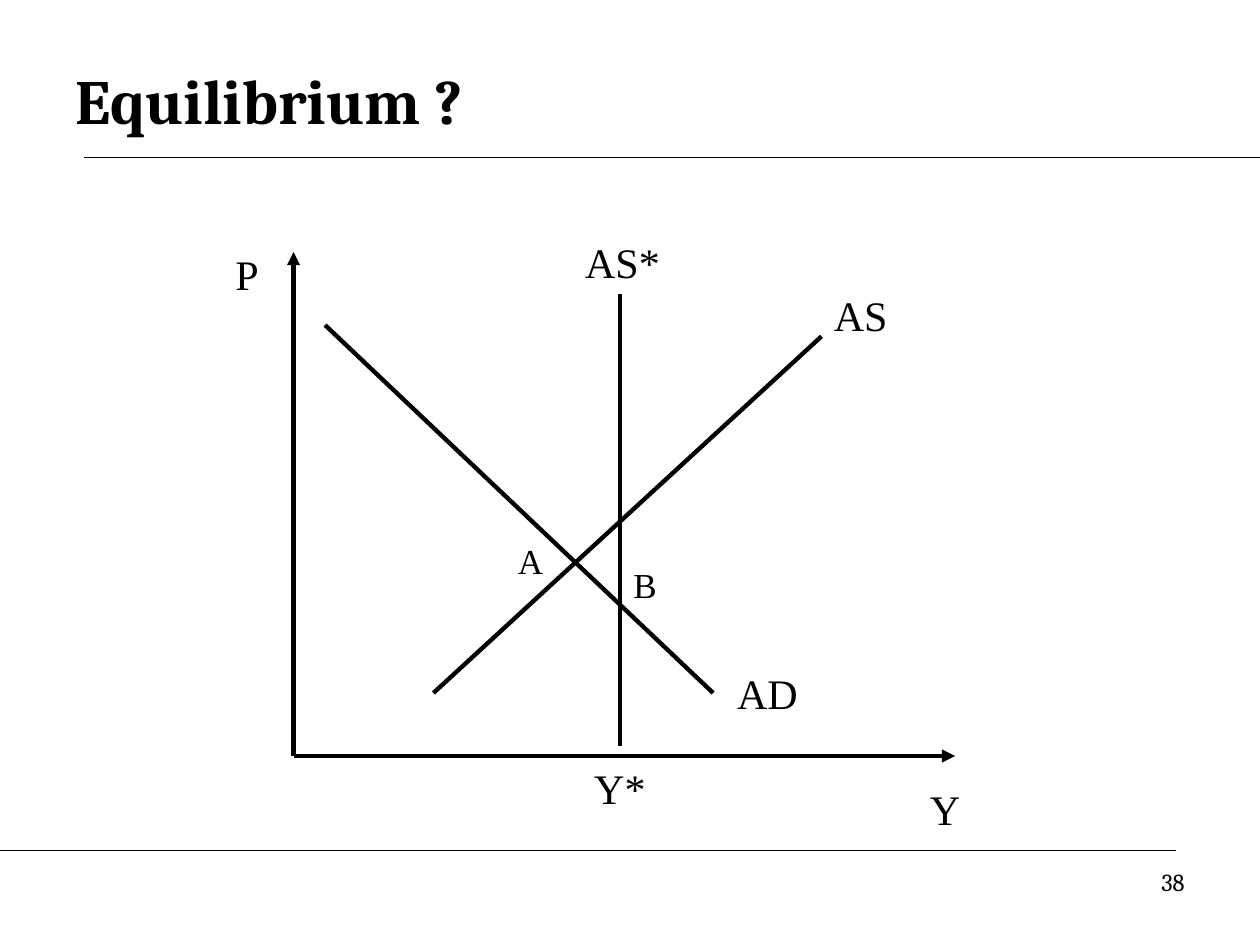
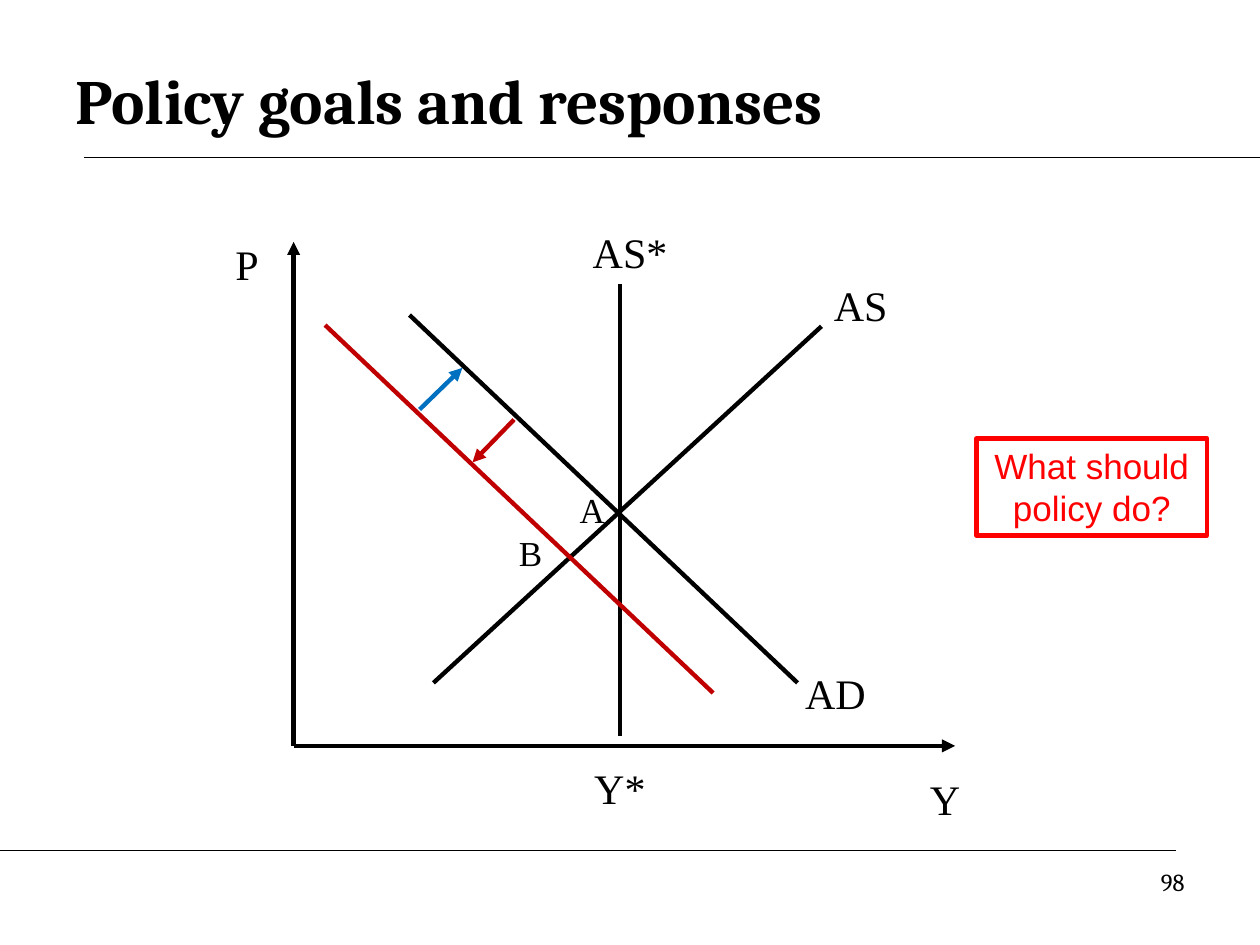
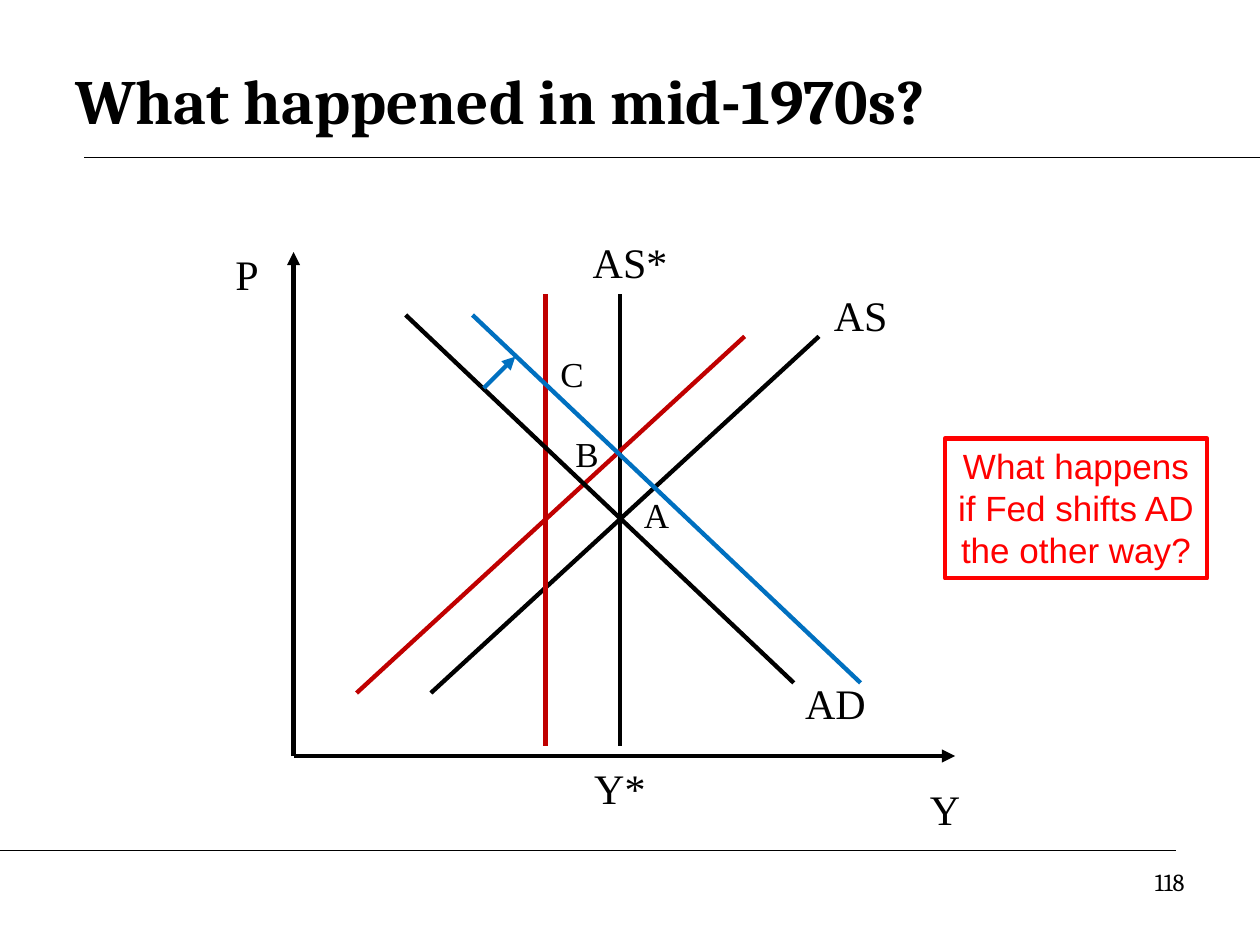
"""Builds three aggregate demand and supply slides."""
from lxml import etree
from pptx import Presentation
from pptx import util as u
from pptx.dml.color import RGBColor
from pptx.enum import shapes, text
from pptx.oxml.ns import qn

COLORS = {"ink": "000000", "shock": "C00000", "policy": "0070C0", "callout": "FF0000"}
HEAD, DIAGRAM, BODY = "Cambria", "Times New Roman", "Arial"
RUN, SUPPLY_RISE, DEMAND_FALL = 3.08, 2.83, 2.92
ORIGIN_X, AXIS_Y, POTENTIAL_X = 2.33, 6, 4.92


def rgb(name):
    """Look up a named colour."""
    return RGBColor.from_string(COLORS[name])


def write(sp, content, *, size, font, color="ink", bold=False,
          align=text.PP_ALIGN.LEFT, anchor=text.MSO_ANCHOR.TOP):
    """Fill a shape with one formatted paragraph."""
    tf = sp.text_frame
    tf.word_wrap = True
    tf.vertical_anchor = anchor
    p = tf.paragraphs[0]
    p.alignment = align
    r = p.add_run()
    r.text = content
    r.font.size, r.font.name, r.font.bold = u.Pt(size), font, bold
    r.font.color.rgb = rgb(color)


def add_text(s, content, box, **fmt):
    """Add a text box at left, top, width, height."""
    write(s.shapes.add_textbox(*map(u.Inches, box)), content, **fmt)


def add_label(s, content, center, top, size=24, width=0.92):
    """Add a diagram label centred on a given x."""
    height = 0.5 if size == 24 else 0.43
    add_text(s, content, (center - width / 2, top, width, height),
             size=size, font=DIAGRAM, align=text.PP_ALIGN.CENTER)


def add_point(s, content, center, top):
    """Add the small letter beside a crossing point."""
    add_label(s, content, center, top, size=20, width=0.58)


def add_line(s, start, end, color="ink", width=2.5, arrow=False):
    """Add a straight line, with an arrowhead at its end if asked."""
    sp = s.shapes.add_connector(shapes.MSO_CONNECTOR.STRAIGHT,
                                *map(u.Inches, (*start, *end)))
    sp.line.color.rgb = rgb(color)
    sp.line.width = u.Pt(width)
    if arrow:
        etree.SubElement(sp.line._get_or_add_ln(), qn("a:tailEnd"), type="triangle")
    etree.SubElement(sp._element.spPr, qn("a:effectLst"))


def add_supply(s, x, bottom=5.5, color="ink"):
    """Add a rising supply curve from its lower left end."""
    add_line(s, (x, bottom), (x + RUN, bottom - SUPPLY_RISE), color)


def add_demand(s, x, top=2.5, color="ink"):
    """Add a falling demand curve from its upper left end."""
    add_line(s, (x, top), (x + RUN, top + DEMAND_FALL), color)


def add_potential(s, x, dy=0, color="ink"):
    """Add a vertical long-run supply curve."""
    add_line(s, (x, 5.92 + dy), (x, 2.33 + dy), color)


def add_diagram(s, dy=0, supply_x=3.44, potential_label_x=5):
    """Add axes, both supply curves and their labels, shifted down by dy."""
    origin = (ORIGIN_X, AXIS_Y + dy)
    add_line(s, origin, (7.58, AXIS_Y + dy), arrow=True)
    add_line(s, origin, (ORIGIN_X, 2 + dy), arrow=True)
    add_potential(s, POTENTIAL_X, dy)
    add_supply(s, supply_x, 5.5 + dy)
    for content, center, top in (("Y", 7.5, 6.17), ("P", 1.96, 1.92), ("AS", 6.83, 2.25),
                                 ("AS*", potential_label_x, 1.83)):
        add_label(s, content, center, top + dy)
    add_label(s, "Y*", POTENTIAL_X, 6)


def add_callout(s, content, left, width, height):
    """Add a red-framed question beside the diagram."""
    sp = s.shapes.add_shape(shapes.MSO_SHAPE.RECTANGLE,
                            *map(u.Inches, (left, 3.48, width, height)))
    sp.shadow.inherit = False
    sp.fill.background()
    sp.line.color.rgb = rgb("callout")
    sp.line.width = u.Pt(2.5)
    write(sp, content, size=20, font=BODY, color="callout", align=text.PP_ALIGN.CENTER)


def add_slide(prs, title, number):
    """Add a slide with its rules, title and page number."""
    s = prs.slides.add_slide(prs.slide_layouts[6])
    add_line(s, (0.67, 1.25), (10, 1.25), width=0.75)
    add_line(s, (0, 6.75), (9.33, 6.75), width=0.75)
    add_text(s, title, (0.5, 0.33, 9, 0.92), size=36, font=HEAD, bold=True,
             anchor=text.MSO_ANCHOR.MIDDLE)
    add_text(s, str(number), (7.17, 6.83, 2.33, 0.52), size=14, font=HEAD,
             align=text.PP_ALIGN.RIGHT)
    return s


def equilibrium(prs):
    """Build the slide that asks where equilibrium lies."""
    s = add_slide(prs, "Equilibrium ?", 38)
    add_diagram(s, potential_label_x=4.94)
    add_demand(s, 2.58, 2.58)
    add_label(s, "AD", 6.09, 5.25)
    add_point(s, "A", 4.21, 4.23)
    add_point(s, "B", 5.12, 4.42)


def policy_responses(prs):
    """Build the slide on a demand shock and the policy response."""
    s = add_slide(prs, "Policy goals and responses", 98)
    add_diagram(s, dy=-0.08)
    add_demand(s, 3.25)
    add_label(s, "AD", 6.63, 5.25)
    add_point(s, "A", 4.7, 3.83)
    add_callout(s, "What should policy do?", 7.75, 1.83, 0.77)
    add_demand(s, 2.58, 2.58, "shock")
    add_line(s, (4.08, 3.33), (3.75, 3.67), "shock", arrow=True)
    add_point(s, "B", 4.21, 4.17)
    add_line(s, (3.33, 3.25), (3.67, 2.92), "policy", arrow=True)


def supply_shock(prs):
    """Build the slide on the supply shock of the mid-1970s."""
    s = add_slide(prs, "What happened in mid-1970s?", 118)
    add_diagram(s, supply_x=3.42)
    add_potential(s, 4.33, color="shock")
    add_supply(s, 2.83, color="shock")
    add_demand(s, 3.22)
    add_label(s, "AD", 6.63, 5.33)
    for content, center, top in (("A", 5.21, 3.87), ("B", 4.66, 3.38), ("C", 4.54, 2.75)):
        add_point(s, content, center, top)
    add_callout(s, "What happens if Fed shifts AD the other way?", 7.5, 2.08, 1.11)
    add_line(s, (3.84, 3.08), (4.09, 2.83), "policy", arrow=True)
    add_demand(s, 3.75, color="policy")


def main():
    """Build and save the presentation."""
    prs = Presentation()
    prs.slide_width, prs.slide_height = u.Inches(10), u.Inches(7.5)
    for build in (equilibrium, policy_responses, supply_shock):
        build(prs)
    prs.save("out.pptx")


if __name__ == "__main__":
    main()
